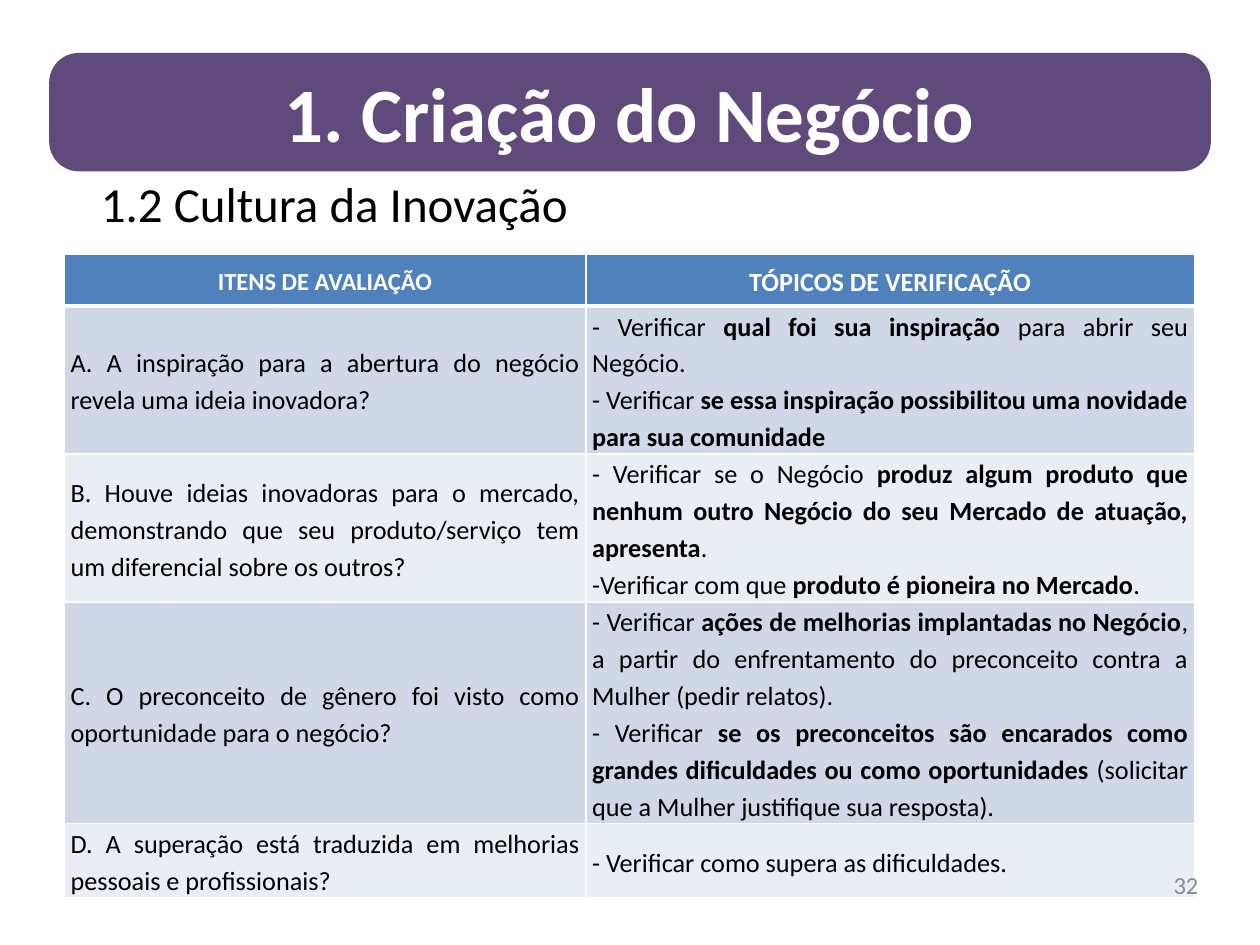
from lxml import etree
from pptx import Presentation
from pptx.dml.color import RGBColor
from pptx.enum.shapes import MSO_SHAPE
from pptx.enum.text import MSO_ANCHOR, PP_ALIGN
from pptx.oxml.ns import qn
from pptx.util import Inches, Pt

ROUNDED = MSO_SHAPE.ROUNDED_RECTANGLE
TOP, MIDDLE = MSO_ANCHOR.TOP, MSO_ANCHOR.MIDDLE
LEFT, CENTER = PP_ALIGN.LEFT, PP_ALIGN.CENTER
RIGHT, JUSTIFY = PP_ALIGN.RIGHT, PP_ALIGN.JUSTIFY
TITLE_ONLY = 5

PURPLE, BLUE, WHITE, BLACK, GRAY = "604A7B", "4F81BD", "FFFFFF", "000000", "8C8C8C"
BANDS = ("D0D8E8", "E9EDF4")

HEADINGS = (("ITENS DE AVALIAÇÃO", 14), ("TÓPICOS DE VERIFICAÇÃO", 15))

# Each row: height, item, checks; the runs of a check alternate regular and bold
ROWS = [
    (1.17, "A. A inspiração para a abertura do negócio revela uma ideia inovadora?", [
        ("- Verificar ", "qual foi sua inspiração ", "para abrir seu Negócio."),
        ("- Verificar ",
         "se essa inspiração possibilitou uma novidade para sua comunidade"),
    ]),
    (1.17, "B. Houve ideias inovadoras para o mercado, demonstrando que seu "
           "produto/serviço tem um diferencial sobre os outros?", [
        ("- Verificar se o Negócio ",
         "produz algum produto que nenhum outro Negócio do seu Mercado de atuação, "
         "apresenta", "."),
        ("-Verificar com que ", "produto é pioneira no Mercado", "."),
    ]),
    (1.76, "C. O preconceito de gênero foi visto como oportunidade para o negócio?", [
        ("- Verificar ", "ações de melhorias implantadas no Negócio",
         ", a partir do enfrentamento do preconceito contra a Mulher (pedir relatos)."),
        ("- Verificar ",
         "se os preconceitos são encarados como grandes dificuldades ou como "
         "oportunidades ", "(solicitar que a Mulher justifique sua resposta)."),
    ]),
    (0.58, "D. A superação está traduzida em melhorias pessoais e profissionais?", [
        ("- Verificar como supera as dificuldades.",),
    ]),
]


def color(value):
    return RGBColor.from_string(value)


class SlideBuilder:
    font = "Calibri"

    def __init__(self, slide):
        self.slide = slide

    def add_text(self, frame, paragraphs, size, ink, align, bold=False, spacing=None):
        """Fill a frame; in each paragraph every second run flips the weight."""
        for i, runs in enumerate(paragraphs):
            paragraph = frame.paragraphs[0] if i == 0 else frame.add_paragraph()
            paragraph.alignment = align
            if spacing:
                paragraph.line_spacing = spacing
            for j, text in enumerate(runs):
                run = paragraph.add_run()
                run.text = text
                run.font.name = self.font
                run.font.size = Pt(size)
                run.font.bold = bold != (j % 2 == 1)
                run.font.color.rgb = color(ink)

    def title(self, text, left, top, width, height):
        title = self.slide.shapes.title
        title.left, title.top = Inches(left), Inches(top)
        title.width, title.height = Inches(width), Inches(height)
        title.text_frame.vertical_anchor = TOP
        self.add_text(title.text_frame, [(text,)], 28, BLACK, LEFT)

    def banner(self, text, left, top, width, height):
        banner = self.slide.shapes.add_shape(
            ROUNDED, Inches(left), Inches(top), Inches(width), Inches(height))
        banner.adjustments[0] = 0.25
        banner.shadow.inherit = False
        banner.fill.solid()
        banner.fill.fore_color.rgb = color(PURPLE)
        banner.line.fill.background()
        banner.text_frame.vertical_anchor = MIDDLE
        self.add_text(banner.text_frame, [(text,)], 44, WHITE, CENTER, bold=True)

    def label(self, text, left, top, width, height):
        label = self.slide.shapes.add_textbox(
            Inches(left), Inches(top), Inches(width), Inches(height))
        label.text_frame.word_wrap = True
        label.text_frame.vertical_anchor = MIDDLE
        self.add_text(label.text_frame, [(text,)], 14, GRAY, RIGHT)

    def cell(self, cell, fill, paragraphs, size, ink, align, bold=False, edges=(1, 1)):
        cell.margin_left = cell.margin_right = Inches(0.05)
        cell.margin_top = cell.margin_bottom = 0
        cell.vertical_anchor = MIDDLE
        top, bottom = edges
        properties = cell._tc.get_or_add_tcPr()
        for side, width in (("L", 1), ("R", 1), ("T", top), ("B", bottom)):
            border = etree.SubElement(properties, qn("a:ln" + side), w=str(Pt(width)))
            solid = etree.SubElement(border, qn("a:solidFill"))
            etree.SubElement(solid, qn("a:srgbClr"), val=WHITE)
        cell.fill.solid()
        cell.fill.fore_color.rgb = color(fill)
        self.add_text(cell.text_frame, paragraphs, size, ink, align, bold, spacing=1.15)

    def table(self, left, top, widths, header_height):
        heights = [header_height] + [row[0] for row in ROWS]
        table = self.slide.shapes.add_table(
            len(heights), len(widths), Inches(left), Inches(top),
            Inches(sum(widths)), Inches(sum(heights))).table
        for column, width in zip(table.columns, widths):
            column.width = Inches(width)
        for row, height in zip(table.rows, heights):
            row.height = Inches(height)

        for c, (heading, size) in enumerate(HEADINGS):
            self.cell(table.cell(0, c), BLUE, [(heading,)], size, WHITE, CENTER,
                      bold=True, edges=(1, 3))
        for r, (_, item, checks) in enumerate(ROWS, start=1):
            edges = (3 if r == 1 else 1, 1)
            for c, paragraphs in enumerate(([(item,)], checks)):
                self.cell(table.cell(r, c), BANDS[(r - 1) % 2], paragraphs, 15,
                          BLACK, JUSTIFY, edges=edges)


def main():
    deck = Presentation()
    deck.slide_width, deck.slide_height = Inches(10), Inches(7.5)
    builder = SlideBuilder(deck.slides.add_slide(deck.slide_layouts[TITLE_ONLY]))

    # Section banner and subtitle
    builder.title("1.2 Cultura da Inovação", 0.7, 1.33, 8.66, 1.07)
    builder.banner("1. Criação do Negócio", 0.39, 0.42, 9.22, 0.94)

    # Evaluation table
    builder.table(0.51, 2.02, (4.14, 4.83), 0.41)

    # Page number
    builder.label("32", 7.28, 6.82, 2.33, 0.4)

    deck.save("out.pptx")


if __name__ == "__main__":
    main()
